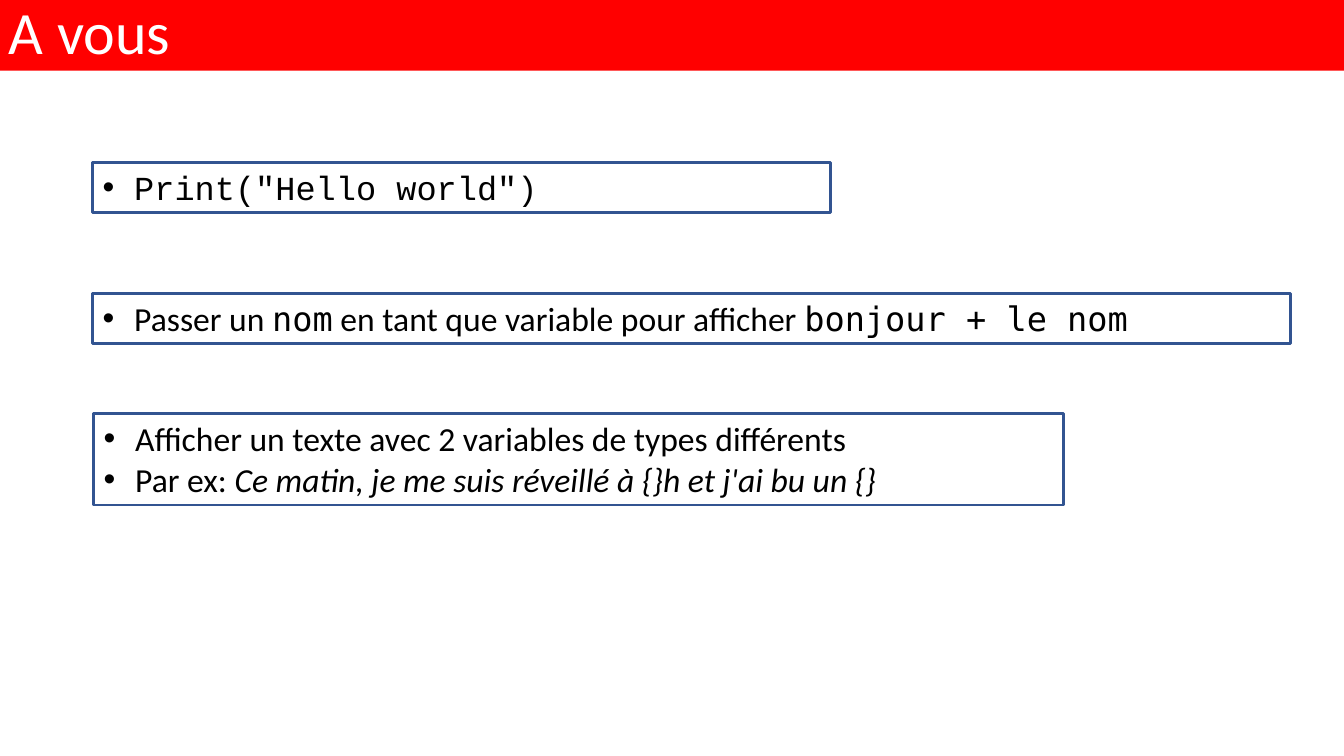
from dataclasses import dataclass

from lxml.etree import SubElement
from pptx import Presentation
from pptx.dml.color import RGBColor
from pptx.enum.shapes import MSO_SHAPE
from pptx.enum.text import MSO_ANCHOR, MSO_AUTO_SIZE, PP_ALIGN
from pptx.oxml.ns import qn
from pptx.shapes.autoshape import Shape
from pptx.slide import Slide
from pptx.text.text import _Paragraph
from pptx.util import Pt

COLOURS = {"banner": "FF0000", "border": "325491", "text": "000000", "title": "FFFFFF"}
BODY_FONT = "Calibri"
CODE_FONT = "Courier New"
VARIABLE_FONT = "DejaVu Sans Mono"
BULLET_INDENT = Pt(22.5)


@dataclass(frozen=True)
class Span:
    text: str
    font: str = BODY_FONT
    italic: bool = False


@dataclass(frozen=True)
class Exercise:
    left: float
    top: float
    width: float
    height: float
    paragraphs: tuple[tuple[Span, ...], ...]


EXERCISES = (
    Exercise(66.24, 115.92, 527.04, 36, ((Span('Print("Hello world")', CODE_FONT),),)),
    Exercise(66.24, 209.52, 855.36, 36, ((
        Span("Passer un "),
        Span("nom", VARIABLE_FONT),
        Span(" en tant que variable pour afficher "),
        Span("bonjour + le nom", VARIABLE_FONT),
    ),)),
    Exercise(66.96, 295.2, 692.64, 65.52, (
        (Span("Afficher un texte avec 2 variables de types différents"),),
        (
            Span("Par ex: "),
            Span("Ce matin, je me suis réveillé à {}h et j'ai bu un {}", italic=True),
        ),
    )),
)


def colour(name: str) -> RGBColor:
    return RGBColor.from_string(COLOURS[name])


def add_box(page: Slide, left: float, top: float, width: float, height: float) -> Shape:
    box = page.shapes.add_shape(
        MSO_SHAPE.RECTANGLE, Pt(left), Pt(top), Pt(width), Pt(height)
    )
    box.shadow.inherit = False
    box.text_frame.word_wrap = True
    return box


def add_span(paragraph: _Paragraph, span: Span, size: float, colour_name: str) -> None:
    run = paragraph.add_run()
    run.text = span.text
    run.font.name = span.font
    run.font.size = Pt(size)
    run.font.italic = span.italic
    run.font.color.rgb = colour(colour_name)


def add_bullet(paragraph: _Paragraph) -> None:
    properties = paragraph._p.get_or_add_pPr()
    properties.set("marL", str(BULLET_INDENT))
    properties.set("indent", str(-BULLET_INDENT))
    SubElement(properties, qn("a:buFont")).set("typeface", "Arial")
    SubElement(properties, qn("a:buChar")).set("char", "•")


def add_exercise(page: Slide, exercise: Exercise) -> None:
    box = add_box(page, exercise.left, exercise.top, exercise.width, exercise.height)
    box.fill.background()
    box.line.color.rgb = colour("border")
    box.line.width = Pt(2)
    frame = box.text_frame
    frame.auto_size = MSO_AUTO_SIZE.SHAPE_TO_FIT_TEXT
    frame.vertical_anchor = MSO_ANCHOR.TOP
    for index, spans in enumerate(exercise.paragraphs):
        paragraph = frame.add_paragraph() if index else frame.paragraphs[0]
        paragraph.alignment = PP_ALIGN.LEFT
        add_bullet(paragraph)
        for span in spans:
            add_span(paragraph, span, 24, "text")


def add_banner(page: Slide, title: str) -> None:
    box = add_box(page, -0.72, -0.72, 960.72, 51.12)
    box.fill.solid()
    box.fill.fore_color.rgb = colour("banner")
    box.line.fill.background()
    box.text_frame.vertical_anchor = MSO_ANCHOR.MIDDLE
    paragraph = box.text_frame.paragraphs[0]
    paragraph.alignment = PP_ALIGN.LEFT
    paragraph.line_spacing = 0.9
    add_span(paragraph, Span(title), 42.9, "title")


def main() -> None:
    deck = Presentation()
    deck.slide_width = Pt(960)
    deck.slide_height = Pt(540)
    page = deck.slides.add_slide(deck.slide_layouts[6])
    for exercise in EXERCISES:
        add_exercise(page, exercise)
    add_banner(page, "A vous")
    deck.save("out.pptx")


if __name__ == "__main__":
    main()
